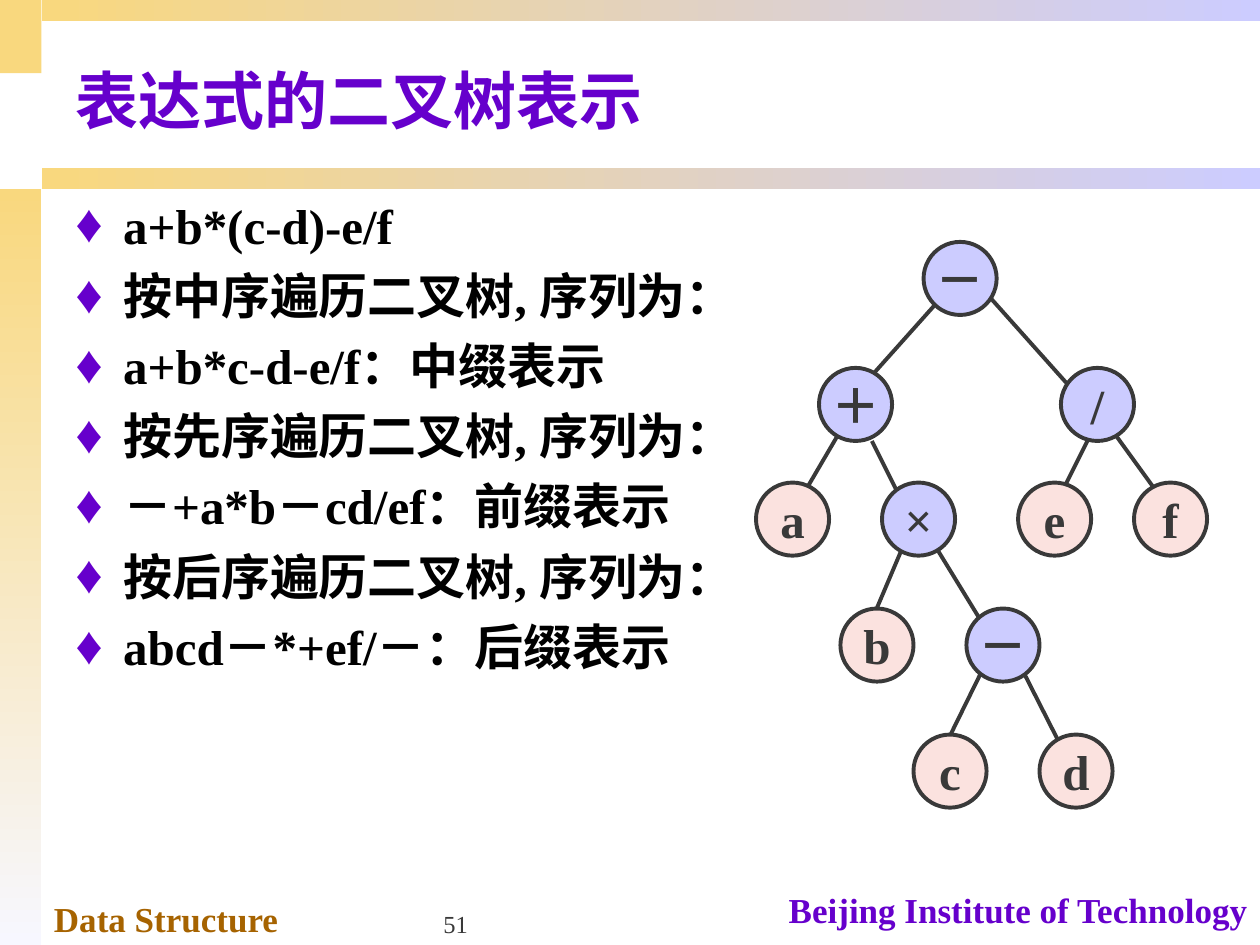
from lxml import etree
from pptx import Presentation
from pptx.dml.color import RGBColor
from pptx.enum.shapes import MSO_CONNECTOR, MSO_SHAPE
from pptx.enum.text import MSO_ANCHOR, PP_ALIGN
from pptx.oxml.ns import qn
from pptx.util import Inches, Pt

RECTANGLE, OVAL = MSO_SHAPE.RECTANGLE, MSO_SHAPE.OVAL
STRAIGHT = MSO_CONNECTOR.STRAIGHT
TOP, MIDDLE, BOTTOM = MSO_ANCHOR.TOP, MSO_ANCHOR.MIDDLE, MSO_ANCHOR.BOTTOM
LEFT, CENTER, RIGHT = PP_ALIGN.LEFT, PP_ALIGN.CENTER, PP_ALIGN.RIGHT

FONT = "Times New Roman"
PURPLE, LAVENDER, GOLD, BROWN = "6600CC", "CCCCFF", "F9D87E", "A66300"
PINK, DARK, BLACK, PALE = "FBE2DF", "393939", "000000", "F7F7FF"
NODE_SIZE = 0.58

# left, top, width, height, start colour, end colour, angle
BANDS = [
    (0, 0, 0.33, 0.58, GOLD, GOLD, 0),
    (0, 1.5, 0.33, 6, GOLD, PALE, 270),
    (0.33, 1.33, 9.67, 0.17, GOLD, LAVENDER, 0),
    (0.33, 0, 9.67, 0.17, GOLD, LAVENDER, 0),
]

# box, paragraphs, size, colour, bold, alignment, anchor
LABELS = [
    ((0.33, 7.07, 3.5, 0.43), ["Data Structure"], 20, BROWN, True, LEFT, TOP),
    ((6.08, 7, 3.92, 0.43), ["Beijing Institute of Technology"], 20, PURPLE, True, RIGHT, TOP),
    ((3.42, 7, 2.08, 0.5), ["51"], 14, DARK, False, LEFT, BOTTOM),
    ((0.5, 0.25, 9.5, 1.07), ["表达式的二叉树表示"], 36, PURPLE, True, LEFT, MIDDLE),
]

BULLETS = [
    "a+b*(c-d)-e/f",
    "按中序遍历二叉树, 序列为：",
    "a+b*c-d-e/f：中缀表示",
    "按先序遍历二叉树, 序列为：",
    "－+a*b－cd/ef：前缀表示",
    "按后序遍历二叉树, 序列为：",
    "abcd－*+ef/－：后缀表示",
]

# top of each tree level: (symbol, left) of its nodes
TREE_LEVELS = {
    1.92: [("－", 7.33)],
    2.92: [("＋", 6.5), ("/", 8.42)],
    3.83: [("a", 6), ("×", 7), ("e", 8.08), ("f", 9)],
    4.83: [("b", 6.67), ("－", 7.67)],
    5.83: [("c", 7.25), ("d", 8.25)],
}

# parent end x, y, child end x, y
BRANCHES = [
    (7.5, 2.33, 6.83, 3.08), (7.83, 2.33, 8.5, 3.08),
    (6.67, 3.42, 6.33, 4), (6.92, 3.5, 7.17, 4),
    (8.67, 3.42, 8.42, 3.92), (8.83, 3.42, 9.25, 4),
    (7.17, 4.33, 6.92, 4.92), (7.42, 4.33, 7.83, 5),
    (7.83, 5.25, 7.5, 5.92), (8.08, 5.25, 8.42, 5.92),
]


def color(value):
    return RGBColor.from_string(value)


def style_paragraph(paragraph, size, font_color, bold, alignment):
    paragraph.alignment = alignment
    for run in paragraph.runs:
        run.font.name = FONT
        run.font.size = Pt(size)
        run.font.bold = bold
        run.font.color.rgb = color(font_color)


def add_band(slide, left, top, width, height, start, end, angle):
    shape = slide.shapes.add_shape(RECTANGLE, *map(Inches, (left, top, width, height)))
    shape.shadow.inherit = False
    shape.line.fill.background()
    if start == end:
        shape.fill.solid()
        shape.fill.fore_color.rgb = color(start)
        return
    shape.fill.gradient()
    shape.fill.gradient_angle = angle
    for stop, value in zip(shape.fill.gradient_stops, (start, end)):
        stop.color.rgb = color(value)


def add_label(slide, box, lines, size, font_color, bold, alignment, anchor):
    frame = slide.shapes.add_textbox(*map(Inches, box)).text_frame
    frame.word_wrap = True
    frame.vertical_anchor = anchor
    frame.text = "\n".join(lines)
    for paragraph in frame.paragraphs:
        style_paragraph(paragraph, size, font_color, bold, alignment)
    return frame


def add_bullet(paragraph):
    properties = paragraph._p.get_or_add_pPr()
    properties.set("marL", str(Inches(0.38)))
    properties.set("indent", str(Inches(-0.38)))
    bullet_color = etree.SubElement(properties, qn("a:buClr"))
    etree.SubElement(bullet_color, qn("a:srgbClr"), val=PURPLE)
    etree.SubElement(properties, qn("a:buSzPct"), val="110000")
    etree.SubElement(properties, qn("a:buFont"), typeface=FONT)
    etree.SubElement(properties, qn("a:buChar"), char="♦")


def add_branch(group, *ends):
    line = group.shapes.add_connector(STRAIGHT, *map(Inches, ends))
    line.line.color.rgb = color(DARK)
    line.line.width = Pt(2.25)
    etree.SubElement(line._element.spPr, qn("a:effectLst"))


def add_node(group, symbol, left, top):
    node = group.shapes.add_shape(OVAL, *map(Inches, (left, top, NODE_SIZE, NODE_SIZE)))
    node.shadow.inherit = False
    node.fill.solid()
    node.fill.fore_color.rgb = color(PINK if symbol.isalpha() else LAVENDER)
    node.line.color.rgb = color(DARK)
    node.line.width = Pt(2.25)
    frame = node.text_frame
    frame.word_wrap = False
    frame.vertical_anchor = MIDDLE
    frame.text = symbol
    style_paragraph(frame.paragraphs[0], 28, DARK, True, CENTER)


def main():
    presentation = Presentation()
    presentation.slide_width, presentation.slide_height = Inches(10), Inches(7.5)
    slide = presentation.slides.add_slide(presentation.slide_layouts[6])

    for band in BANDS:
        add_band(slide, *band)
    for label in LABELS:
        add_label(slide, *label)

    body = add_label(slide, (0.5, 1.5, 9.5, 5.42), BULLETS, 28, BLACK, True, LEFT, TOP)
    for index, paragraph in enumerate(body.paragraphs):
        add_bullet(paragraph)
        if index:
            paragraph.space_before = Pt(6.5)

    tree = slide.shapes.add_group_shape()
    for branch in BRANCHES:
        add_branch(tree, *branch)
    for top, nodes in TREE_LEVELS.items():
        for symbol, left in nodes:
            add_node(tree, symbol, left, top)

    presentation.save("out.pptx")


if __name__ == "__main__":
    main()
